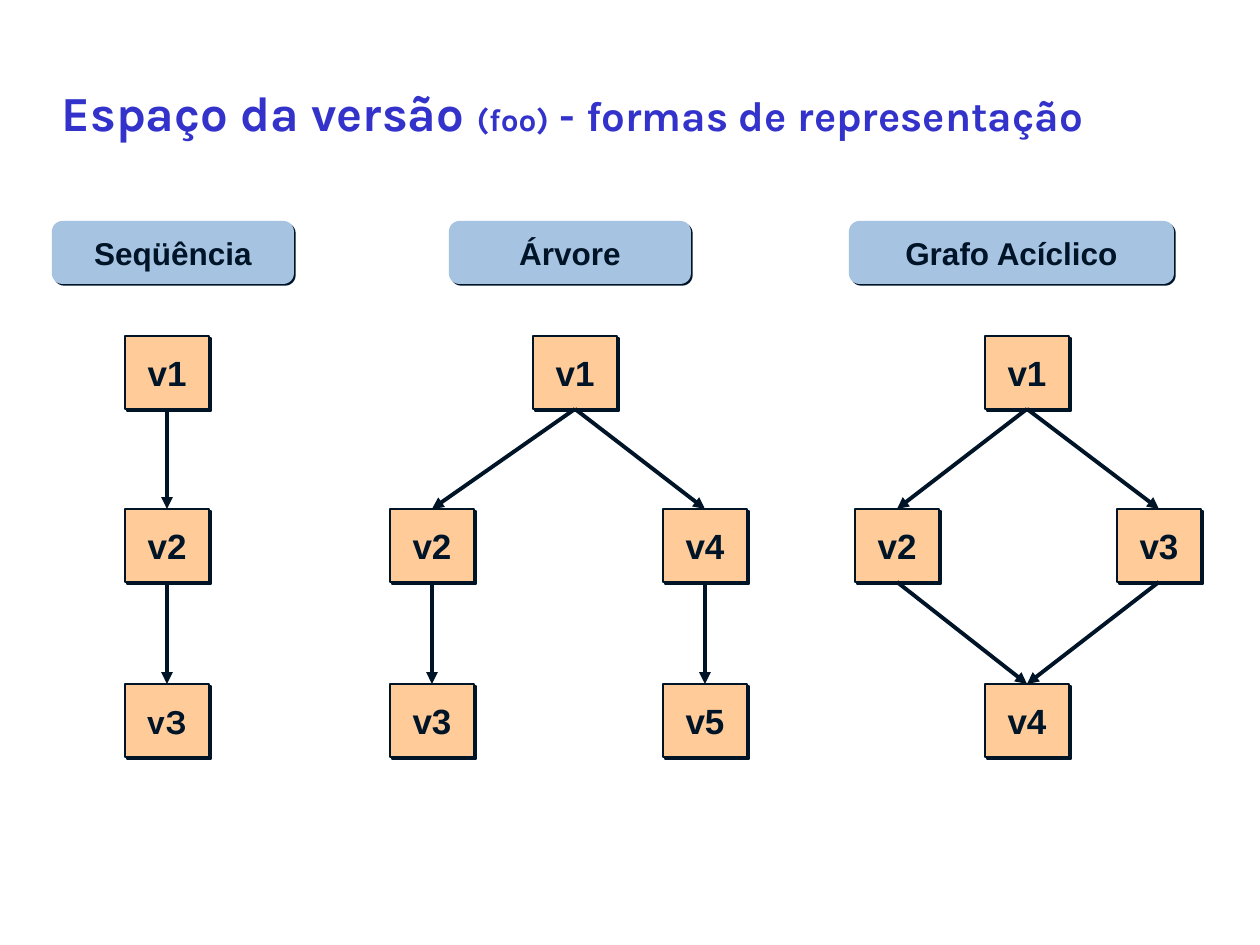
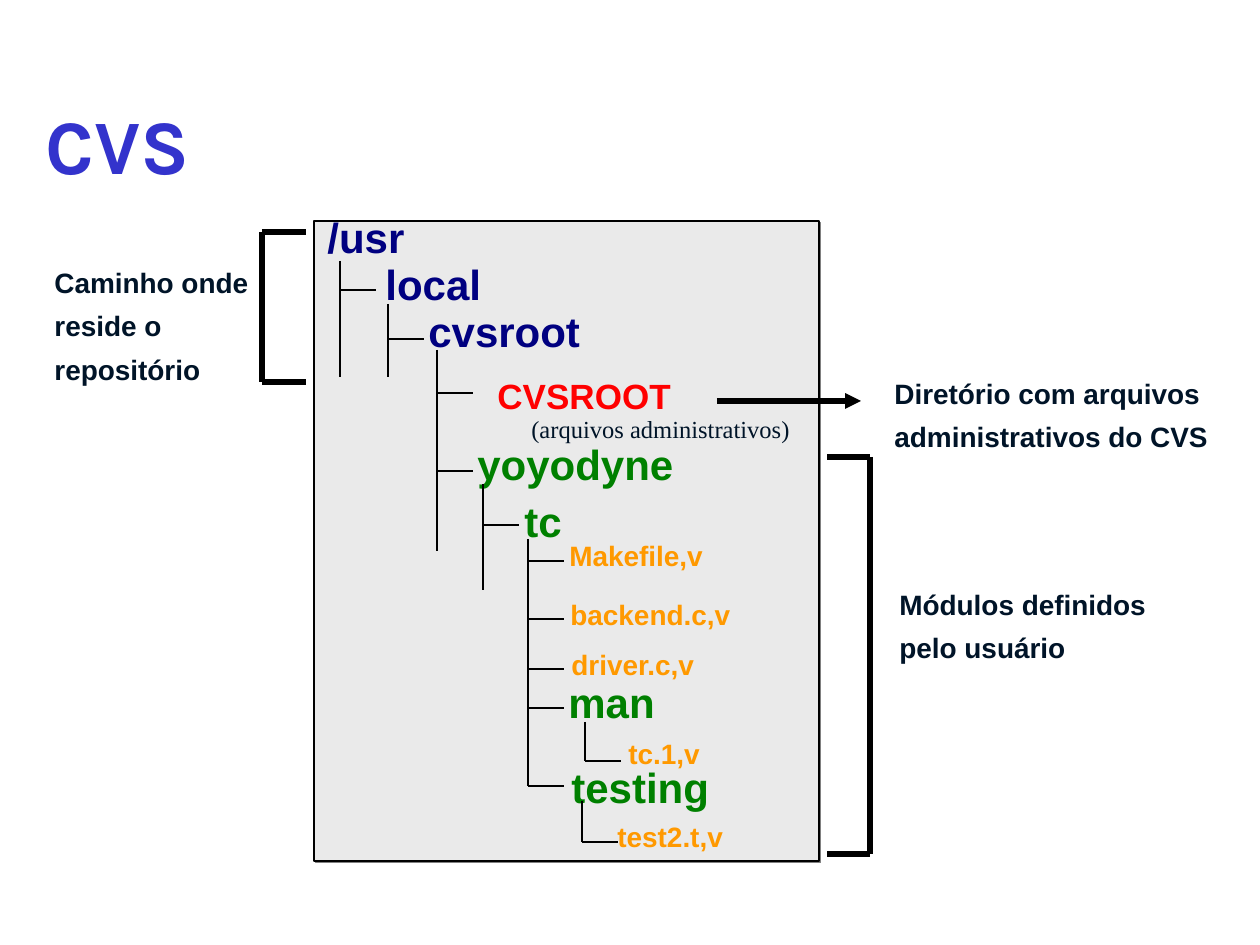
"""Build two slides on version spaces and the layout of a CVS repository."""
from lxml.etree import SubElement
from pptx import Presentation
from pptx.dml.color import RGBColor
from pptx.enum.shapes import MSO_CONNECTOR as Link, MSO_SHAPE as Shape
from pptx.enum.text import MSO_ANCHOR as Anchor, MSO_AUTO_SIZE as AutoSize, PP_ALIGN as Align
from pptx.oxml.ns import qn
from pptx.util import Emu, Pt

PX = 914400 / 126
TITLE_FONT, BODY_FONT, NOTE_FONT = "Karla", "Arial", "Times New Roman"
TITLE_BLUE = RGBColor(0x33, 0x33, 0xCC)
INK = RGBColor(0x00, 0x14, 0x28)
BLACK = RGBColor(0x00, 0x00, 0x00)
SHADE = RGBColor(0x80, 0x80, 0x80)
PEACH = RGBColor(0xFF, 0xCC, 0x99)
SKY = RGBColor(0xA6, 0xC4, 0xE2)
PANEL = RGBColor(0xEA, 0xEA, 0xEA)
NAVY = RGBColor(0x00, 0x00, 0x80)
RED = RGBColor(0xFF, 0x00, 0x00)
GREEN = RGBColor(0x00, 0x80, 0x00)
ORANGE = RGBColor(0xFF, 0x99, 0x00)

SPACE_TITLE = [("Espaço da versão ", 28), ("(foo)", 18), (" - formas de representação", 24)]
ROW_TOPS = [336, 509, 684]
NODE_SIZE = (84, 73)
HEADER_TOP, HEADER_HEIGHT = 221, 63
GRAPHS = [
    {"name": "Seqüência", "left": 52, "width": 242,
     "nodes": [("v1", 125, 0, BODY_FONT), ("v2", 125, 1, BODY_FONT), ("v3", 125, 2, TITLE_FONT)],
     "edges": [("v1", "v2"), ("v2", "v3")]},
    {"name": "Árvore", "left": 449, "width": 242,
     "nodes": [("v1", 533, 0, BODY_FONT), ("v2", 390, 1, BODY_FONT), ("v3", 390, 2, BODY_FONT),
               ("v4", 663, 1, BODY_FONT), ("v5", 663, 2, BODY_FONT)],
     "edges": [("v1", "v2"), ("v1", "v4"), ("v2", "v3"), ("v4", "v5")]},
    {"name": "Grafo Acíclico", "left": 849, "width": 325,
     "nodes": [("v1", 985, 0, BODY_FONT), ("v2", 855, 1, BODY_FONT), ("v3", 1117, 1, BODY_FONT),
               ("v4", 985, 2, BODY_FONT)],
     "edges": [("v1", "v2"), ("v1", "v3"), ("v2", "v4"), ("v3", "v4")]},
]

ENTRIES = [
    ("/usr", (315, 205, 107, 52), 24, NAVY),
    ("local", (373, 252, 173, 48), 24, NAVY),
    ("cvsroot", (416, 299, 228, 58), 24, NAVY),
    ("CVSROOT", (485, 368, 234, 47), 20, RED),
    ("yoyodyne", (465, 432, 237, 57), 24, GREEN),
    ("tc", (512, 489, 73, 49), 24, GREEN),
    ("Makefile,v", (557, 532, 239, 60), 16, ORANGE),
    ("backend.c,v", (558, 591, 227, 62), 16, ORANGE),
    ("driver.c,v", (559, 641, 169, 53), 16, ORANGE),
    ("man", (556, 670, 169, 47), 24, GREEN),
    ("tc.1,v", (616, 730, 155, 59), 16, ORANGE),
    ("testing", (559, 755, 169, 55), 24, GREEN),
    ("test2.t,v", (605, 813, 227, 59), 16, ORANGE),
]
BRANCH_LENGTH = 36
TRUNKS = [
    (340, 261, 377, [290]),
    (388, 304, 377, [339]),
    (437, 350, 551, [393, 471]),
    (483, 484, 590, [525]),
    (528, 539, 786, [561, 619, 669, 708, 786]),
    (585, 722, 761, [761]),
    (582, 801, 842, [842]),
]
BRACKETS = [(262, 306, 232, 382), (870, 827, 457, 854)]
REMARKS = [
    ("Caminho onde reside o repositório", (42, 249, 271, 95)),
    ("Diretório com arquivos administrativos do CVS", (882, 360, 357, 97)),
    ("Módulos definidos pelo usuário", (887, 571, 299, 95)),
]


def px(*lengths):
    """Turn px lengths into EMU."""
    return [Emu(round(length * PX)) for length in lengths]


def style(para, size, color, font=BODY_FONT, bold=True):
    """Set the font of a whole paragraph."""
    para.font.size, para.font.name, para.font.bold = Pt(size), font, bold
    para.font.color.rgb = color


def add_page(deck, spans, area, anchor):
    """Add a page whose title is made of (text, size) spans."""
    page = deck.slides.add_slide(deck.slide_layouts[5])
    title = page.shapes.title
    title.left, title.top, title.width, title.height = px(*area)
    frame = title.text_frame
    frame.auto_size, frame.vertical_anchor, frame.word_wrap = AutoSize.NONE, anchor, True
    para = frame.paragraphs[0]
    para.alignment = Align.LEFT
    style(para, spans[0][1], TITLE_BLUE, TITLE_FONT)
    for text, size in spans:
        span = para.add_run()
        span.text = text
        span.font.size = Pt(size)
    return page


def add_block(page, kind, area, fill, shade, line=None, width=1.0):
    """Add a filled shape with a hard shadow to the lower right."""
    block = page.shapes.add_shape(kind, *px(*area))
    block.fill.solid()
    block.fill.fore_color.rgb = fill
    if line is None:
        block.line.fill.background()
    else:
        block.line.color.rgb, block.line.width = line, Pt(width)
    block.shadow.inherit = False
    effects = block._element.spPr.find(qn("a:effectLst"))
    shadow = SubElement(effects, qn("a:outerShdw"), dist="17961", dir="2700000",
                        algn="ctr", rotWithShape="0")
    SubElement(shadow, qn("a:srgbClr"), val=str(shade))
    return block


def label_block(block, text, size, font=BODY_FONT):
    """Write one centred line in a block."""
    frame = block.text_frame
    frame.word_wrap, frame.vertical_anchor = False, Anchor.MIDDLE
    para = frame.paragraphs[0]
    para.text, para.alignment = text, Align.CENTER
    style(para, size, INK, font)


def add_text(page, text, area, size, color, font=BODY_FONT, bold=True, spacing=None):
    """Add a wrapped text box with one paragraph."""
    frame = page.shapes.add_textbox(*px(*area)).text_frame
    frame.word_wrap = True
    para = frame.paragraphs[0]
    para.text, para.line_spacing = text, spacing
    style(para, size, color, font, bold)


def add_line(page, ends, color, width, arrow=False):
    """Add a straight connector, with an arrowhead at its end if asked."""
    line = page.shapes.add_connector(Link.STRAIGHT, *px(*ends))
    line.line.color.rgb, line.line.width = color, Pt(width)
    properties = line._element.spPr
    if arrow:
        SubElement(properties.find(qn("a:ln")), qn("a:tailEnd"), type="triangle")
    SubElement(properties, qn("a:effectLst"))
    return line


def build_version_space(deck):
    """Show three ways to arrange versions."""
    page = add_page(deck, SPACE_TITLE, (49, 76, 1158, 76), Anchor.TOP)
    for graph in GRAPHS:
        area = (graph["left"], HEADER_TOP, graph["width"], HEADER_HEIGHT)
        header = add_block(page, Shape.ROUNDED_RECTANGLE, area, SKY, INK)
        label_block(header, graph["name"], 18)
        nodes = {}
        for name, left, row, font in graph["nodes"]:
            area = (left, ROW_TOPS[row], *NODE_SIZE)
            nodes[name] = add_block(page, Shape.RECTANGLE, area, PEACH, INK, INK)
            label_block(nodes[name], name, 20, font)
        for start, end in graph["edges"]:
            edge = add_line(page, (0, 0, 0, 0), INK, 2.25, arrow=True)
            edge.begin_connect(nodes[start], 2)
            edge.end_connect(nodes[end], 0)


def build_repository(deck):
    """Show the directory tree of a repository."""
    page = add_page(deck, [("CVS", 44)], (33, 44, 1196, 199), Anchor.MIDDLE)
    add_block(page, Shape.RECTANGLE, (314, 221, 505, 640), PANEL, SHADE, BLACK, 0.75)
    for text, area, size, color in ENTRIES:
        add_text(page, text, area, size, color)
    add_text(page, "(arquivos administrativos)", (519, 408, 300, 67), 14, INK, NOTE_FONT, False)
    for x, top, bottom, branches in TRUNKS:
        add_line(page, (x, top, x, bottom), BLACK, 0.75)
        for y in branches:
            add_line(page, (x, y, x + BRANCH_LENGTH, y), BLACK, 0.75)
    for spine, tip, top, bottom in BRACKETS:
        add_line(page, (spine, top, spine, bottom), BLACK, 3)
        for y in (top, bottom):
            add_line(page, (spine, y, tip, y), BLACK, 3)
    add_line(page, (717, 401, 861, 401), BLACK, 3, arrow=True)
    for text, area in REMARKS:
        add_text(page, text, area, 16, INK, spacing=1.3)


def main():
    """Build and save the deck."""
    deck = Presentation()
    deck.slide_width, deck.slide_height = px(1260, 945)
    build_version_space(deck)
    build_repository(deck)
    deck.save("out.pptx")


if __name__ == "__main__":
    main()
